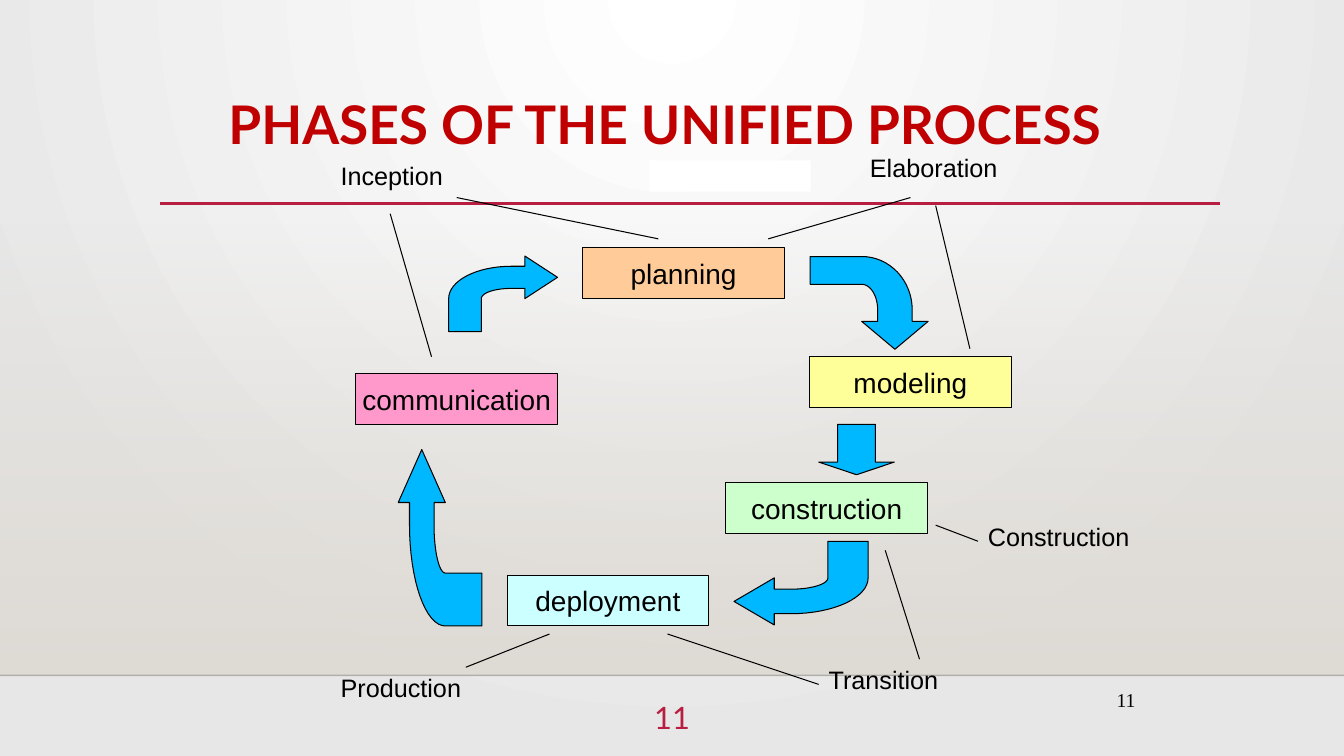
from dataclasses import dataclass
from math import cos, pi, sin

from lxml.etree import SubElement
from pptx import Presentation
from pptx.dml.color import RGBColor
from pptx.enum.shapes import MSO_CONNECTOR, MSO_SHAPE
from pptx.enum.text import MSO_ANCHOR, PP_ALIGN
from pptx.oxml.ns import qn
from pptx.util import Inches, Pt


@dataclass(frozen=True)
class Theme:
    """Colours, fonts and type sizes of the slide."""
    ink: str = "000000"
    title: str = "C00000"
    accent: str = "B71E42"
    arrow: str = "00B8FF"
    white: str = "FFFFFF"
    edge: str = "E7E7E7"
    floor: str = "DFDBD5"
    heading_font: str = "Lato"
    body_font: str = "Arial"
    number_font: str = "Times New Roman"
    title_size: int = 38
    page_size: int = 22
    box_size: int = 20
    label_size: int = 18
    number_size: int = 14
    thin: float = 0.75


class SlideBuilder:
    """Draws styled elements on the current slide."""

    def __init__(self, s, theme):
        self.s = s
        self.theme = theme

    def set_alpha(self, parent, percent):
        """Set the opacity of the first colour found below parent."""
        color = next(parent.iter(qn("a:srgbClr")))
        SubElement(color, qn("a:alpha")).set("val", str(percent * 1000))

    def gradient(self, fill, colors):
        """Give a fill a two-stop gradient."""
        fill.gradient()
        for stop, color, position in zip(fill.gradient_stops, colors, (0, 1)):
            stop.color.rgb = RGBColor.from_string(color)
            stop.position = position

    def background(self):
        """Paint the radial background, lightest at the top centre."""
        self.gradient(self.s.background.fill, (self.theme.white, self.theme.edge))
        grad = next(self.s.element.iter(qn("a:gradFill")))
        grad.remove(grad.find(qn("a:lin")))
        radial = SubElement(grad, qn("a:path"))
        radial.set("path", "circle")
        focus = SubElement(radial, qn("a:fillToRect"))
        for side, value in {"l": 43000, "t": 0, "r": 43000, "b": 100000}.items():
            focus.set(side, str(value))

    def floor(self, x, y, w, h):
        """Add the band that fades in downwards."""
        sp = self.shape(MSO_SHAPE.RECTANGLE, x, y, w, h, self.theme.floor, False)
        self.gradient(sp.fill, (self.theme.floor, self.theme.floor))
        sp.fill.gradient_angle = 270
        self.set_alpha(sp.element.spPr, 0)

    def paint(self, sp, fill, outlined=True):
        """Apply a solid fill and an optional thin outline."""
        sp.shadow.inherit = False
        sp.fill.solid()
        sp.fill.fore_color.rgb = RGBColor.from_string(fill)
        if outlined:
            sp.line.color.rgb = RGBColor.from_string(self.theme.ink)
            sp.line.width = Pt(self.theme.thin)
        else:
            sp.line.fill.background()
        return sp

    def shape(self, kind, x, y, w, h, fill, outlined=True):
        """Add a preset shape."""
        sp = self.s.shapes.add_shape(kind, Inches(x), Inches(y), Inches(w), Inches(h))
        return self.paint(sp, fill, outlined)

    def set_text(self, tf, text, font, size, color, bold=False, **paragraph):
        """Fill a text frame with one formatted paragraph."""
        p = tf.paragraphs[0]
        for name, value in paragraph.items():
            setattr(p, name, value)
        r = p.add_run()
        r.text = text
        for name, value in {"name": font, "size": Pt(size), "bold": bold}.items():
            setattr(r.font, name, value)
        r.font.color.rgb = RGBColor.from_string(color)

    def text(self, x, y, w, h, text, font, size, color, **format_values):
        """Add a text box."""
        tf = self.s.shapes.add_textbox(Inches(x), Inches(y), Inches(w), Inches(h)).text_frame
        tf.word_wrap = True
        self.set_text(tf, text, font, size, color, **format_values)

    def label(self, text, x, y, w):
        """Add a phase label."""
        t = self.theme
        self.text(x, y, w, 0.5, text, t.body_font, t.label_size, t.ink)

    def box(self, text, x, y, fill):
        """Add an activity box."""
        t = self.theme
        tf = self.shape(MSO_SHAPE.RECTANGLE, x, y, 2, 0.5, fill).text_frame
        for name, value in {"word_wrap": False, "vertical_anchor": MSO_ANCHOR.MIDDLE}.items():
            setattr(tf, name, value)
        self.set_text(tf, text, t.body_font, t.box_size, t.ink, alignment=PP_ALIGN.CENTER)

    def bent_arrow(self, x, y, w, h, rotation):
        """Add an arrow that bends along a quarter ellipse."""
        bend_x, bend_y, neck, shaft, steps = 0.575, 0.563, 0.7, 0.3, 16
        top, bottom, head = 0.135, 0.428, 0.563
        angles = [pi / 2 * i / steps for i in range(steps + 1)]

        def arc(rx, ry):
            return [(bend_x - rx * sin(a), bend_y - ry * cos(a)) for a in angles]

        outline = [(1, head / 2), (neck, 0), (neck, top), *arc(bend_x, bend_y - top),
                   (0, 1), (shaft, 1), *arc(bend_x - shaft, bend_y - bottom)[::-1],
                   (neck, bottom), (neck, head)]
        points = [(Inches(x + u * w), Inches(y + v * h)) for u, v in outline]
        builder = self.s.shapes.build_freeform(*points[0])
        builder.add_line_segments(points[1:], close=True)
        self.paint(builder.convert_to_shape(), self.theme.arrow).rotation = rotation

    def line(self, x1, y1, x2, y2, color=None, width=None):
        """Add a straight line."""
        c = self.s.shapes.add_connector(
            MSO_CONNECTOR.STRAIGHT, Inches(x1), Inches(y1), Inches(x2), Inches(y2))
        c.line.color.rgb = RGBColor.from_string(color or self.theme.ink)
        c.line.width = Pt(width or self.theme.thin)
        SubElement(c.element.spPr, qn("a:effectLst"))
        return c


def main():
    """Build and save the slide."""
    prs = Presentation()
    prs.slide_width, prs.slide_height = Inches(13.33), Inches(7.5)
    t = Theme()
    b = SlideBuilder(prs.slides.add_slide(prs.slide_layouts[6]), t)

    b.background()
    b.floor(0, 2.21, 13.33, 4.49)
    horizon = b.line(0, 6.7, 13.33, 6.7, width=1)
    b.set_alpha(horizon.element.spPr, 20)
    b.line(1.59, 2.02, 12.1, 2.02, t.accent, 2.5)
    b.text(6.22, 6.88, 0.89, 0.55, "11", t.heading_font, t.page_size, t.accent,
           alignment=PP_ALIGN.CENTER)
    b.text(1.1, 0.9, 10.99, 0.98, "PHASES OF THE UNIFIED PROCESS", t.heading_font,
           t.title_size, t.title, bold=True, alignment=PP_ALIGN.CENTER, line_spacing=0.95)
    b.text(9.28, 6.79, 2.08, 0.32, "11", t.number_font, t.number_size, t.ink,
           alignment=PP_ALIGN.RIGHT, line_spacing=0.95)
    patch = b.shape(MSO_SHAPE.ROUNDED_RECTANGLE, 6.44, 1.59, 1.6, 0.31, t.white, False)
    patch.adjustments[0] = 0.01

    for activity in (("communication", 3.53, 3.71, "FF99CC"),
                     ("planning", 5.78, 2.46, "FFCC99"),
                     ("modeling", 8.03, 3.54, "FFFF99"),
                     ("construction", 7.2, 4.79, "CCFFCC"),
                     ("deployment", 5.03, 5.71, "CCFFFF")):
        b.box(*activity)

    for arrow in ((4.45, 2.54, 1.08, 0.75, 0), (8.16, 2.42, 0.92, 1.17, 90),
                  (7.28, 5.37, 1.33, 0.83, 180), (3.49, 4.92, 1.75, 0.83, 270)):
        b.bent_arrow(*arrow)
    down = b.shape(MSO_SHAPE.DOWN_ARROW, 8.12, 4.21, 0.75, 0.5, t.arrow)
    down.adjustments[0], down.adjustments[1] = 0.5, 0.25

    for phase in (("Inception", 3.28, 1.54, 1.46), ("Elaboration", 8.53, 1.46, 1.75),
                  ("Construction", 9.7, 5.12, 1.92), ("Transition", 8.12, 6.54, 1.57),
                  ("Production", 3.28, 6.62, 1.66)):
        b.label(*phase)

    for pointer in ((3.87, 2.12, 4.28, 3.54), (4.53, 1.96, 6.53, 2.37),
                    (9.03, 1.96, 7.62, 2.37), (9.28, 2.04, 9.62, 3.46),
                    (9.7, 5.37, 9.28, 5.21), (9.12, 6.54, 8.78, 5.46),
                    (8.12, 6.79, 6.62, 6.29), (4.62, 6.62, 5.45, 6.29)):
        b.line(*pointer)

    prs.save("out.pptx")


if __name__ == "__main__":
    main()
